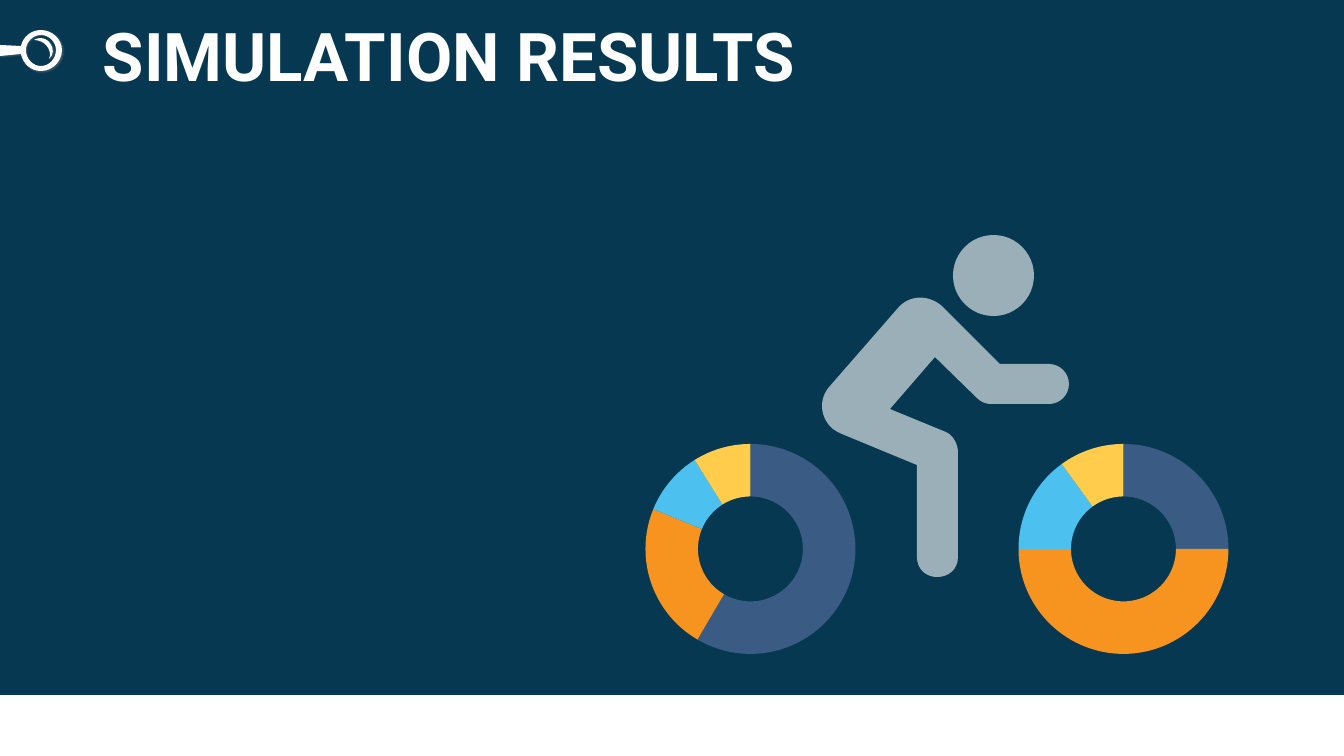
from dataclasses import dataclass

from lxml import etree
from pptx import Presentation
from pptx import util as u
from pptx.chart.data import CategoryChartData
from pptx.dml.color import RGBColor
from pptx.enum import chart, shapes, text
from pptx.oxml.ns import qn

TITLE = "SIMULATION RESULTS"
CATEGORIES = ["1", "2", "3", "4"]
WHEELS = [
    {"left": 572, "values": [59, 23, 10, 9]},
    {"left": 945, "values": [25, 50, 15, 10]},
]
WHEEL_TOP, WHEEL_W, WHEEL_H, WHEEL_D = 430, 357, 238, 210

MAGNIFIER = [
    [(40, 38), (44, 38, 48, 40, 50, 43), (54, 48, 54, 55, 49, 59),
     (51, 55, 50, 50, 47, 46), (44, 42, 39, 40, 34, 40), (36, 39, 38, 38, 40, 38)],
    [(41, 35), (33, 35, 26, 42, 26, 50), (26, 59, 33, 66, 41, 66),
     (49, 66, 56, 59, 56, 50), (56, 42, 49, 35, 41, 35)],
    [(41, 30), (52, 30, 62, 39, 62, 50), (62, 62, 52, 71, 41, 71),
     (31, 71, 23, 64, 21, 54), (0, 56), (0, 45), (21, 46), (23, 37, 31, 30, 41, 30)],
]
RIDER = [
    [(977, 398), (981, 402, 986, 404, 991, 404), (1049, 404),
     (1060, 404, 1069, 395, 1069, 384), (1069, 373, 1060, 364, 1049, 364),
     (1000, 364), (942, 306), (928, 294, 909, 295, 898, 308), (830, 386),
     (818, 399, 820, 418, 833, 429), (836, 431, 839, 433, 842, 434),
     (917, 465), (917, 557), (917, 569, 926, 577, 937, 577),
     (949, 577, 958, 569, 958, 557), (958, 452), (958, 444, 953, 435, 946, 432),
     (890, 409), (935, 357)],
]


@dataclass(frozen=True)
class Theme:
    back: str = "063951"
    white: str = "FFFFFF"
    black: str = "000000"
    shade: str = "808080"
    slices: tuple = ("3A5C84", "F7931F", "4CC1EF", "FFCC4C")
    title_font: str = "Roboto"
    chart_font: str = "Calibri"
    title_pt: int = 48
    chart_pt: int = 10


THEME = Theme()
SCALE = 914400 / 100.8


def px(n):
    return u.Emu(round(n * SCALE))


def rgb(color):
    return RGBColor.from_string(color)


def write(tf, content, *, font, size, color, bold=False, spacing=1.0):
    p = tf.paragraphs[0]
    p.alignment = text.PP_ALIGN.LEFT
    p.line_spacing = spacing
    r = p.add_run()
    r.text = content
    r.font.name, r.font.size, r.font.bold = font, u.Pt(size), bold
    r.font.color.rgb = rgb(color)


def paint(sp, color, alpha=100):
    sp.shadow.inherit = False
    sp.fill.solid()
    sp.fill.fore_color.rgb = rgb(color)
    sp.line.fill.background()
    if alpha < 100:
        clr = sp._element.spPr.find(qn("a:solidFill"))[0]
        etree.SubElement(clr, qn("a:alpha"), val=str(alpha * 1000))


def cast_shadow(sp, color, alpha):
    effects = sp._element.spPr.find(qn("a:effectLst"))
    shadow = etree.SubElement(effects, qn("a:outerShdw"), blurRad=str(u.Pt(1)),
                              dist=str(u.Pt(1)), dir=str(45 * 60000))
    clr = etree.SubElement(shadow, qn("a:srgbClr"), val=color)
    etree.SubElement(clr, qn("a:alpha"), val=str(alpha * 1000))


def outline(s, contours):
    builder = s.shapes.build_freeform(*map(px, contours[0][0]))
    for i, (start, *segments) in enumerate(contours):
        if i:
            builder.move_to(*map(px, start))
        builder.add_line_segments([tuple(map(px, seg[-2:])) for seg in segments])
    sp = builder.convert_to_shape()
    segments = [seg for contour in contours for seg in contour[1:]]
    for line, seg in zip(list(sp._element.iter(qn("a:lnTo"))), segments):
        if len(seg) == 6:
            line.tag = qn("a:cubicBezTo")
            line.clear()
            for x, y in zip(seg[::2], seg[1::2]):
                etree.SubElement(line, qn("a:pt"), x=str(px(x) - sp.left),
                                 y=str(px(y) - sp.top))
    return sp


def add_wheel(s, left, values):
    data = CategoryChartData()
    data.categories = CATEGORIES
    data.add_series("Series 1", values)
    ch = s.shapes.add_chart(chart.XL_CHART_TYPE.DOUGHNUT, px(left), px(WHEEL_TOP),
                            px(WHEEL_W), px(WHEEL_H), data).chart
    ch.has_legend = ch.has_title = False
    ch.font.name, ch.font.size = THEME.chart_font, u.Pt(THEME.chart_pt)
    ch.font.color.rgb = rgb(THEME.black)
    plot = ch.plots[0]
    plot.vary_by_categories = True
    for i, color in enumerate(THEME.slices):
        fmt = plot.series[0].points[i].format
        fmt.fill.solid()
        fmt.fill.fore_color.rgb = rgb(color)
        fmt.line.fill.background()
    area = ch._chartSpace.find(".//" + qn("c:plotArea"))
    for old in area.findall(qn("c:layout")):
        area.remove(old)
    layout = etree.Element(qn("c:layout"))
    area.insert(0, layout)
    manual = etree.SubElement(layout, qn("c:manualLayout"))
    w, h = WHEEL_D / WHEEL_W, WHEEL_D / WHEEL_H
    for tag, val in [("layoutTarget", "inner"), ("xMode", "edge"), ("yMode", "edge"),
                     ("x", (1 - w) / 2), ("y", (1 - h) / 2), ("w", w), ("h", h)]:
        etree.SubElement(manual, qn("c:" + tag), val=str(val))
    area.find(".//" + qn("c:holeSize")).set("val", "75")


def main():
    prs = Presentation()
    prs.slide_width, prs.slide_height = px(1344), px(756)
    s = prs.slides.add_slide(prs.slide_layouts[5])
    s.background.fill.solid()
    s.background.fill.fore_color.rgb = rgb(THEME.back)

    footer = s.shapes.add_shape(shapes.MSO_SHAPE.RECTANGLE, 0, px(695), px(1344), px(61))
    paint(footer, THEME.white)
    magnifier = outline(s, MAGNIFIER)
    paint(magnifier, THEME.white)
    cast_shadow(magnifier, THEME.shade, 40)

    title = s.shapes.title
    title.left, title.top, title.width, title.height = map(px, (93, 19, 1159, 82))
    tf = title.text_frame
    tf.word_wrap, tf.auto_size = True, text.MSO_AUTO_SIZE.NONE
    tf.vertical_anchor = text.MSO_ANCHOR.MIDDLE
    tf.margin_left, tf.margin_right = px(10), 0
    tf.margin_top = tf.margin_bottom = px(5)
    write(tf, TITLE, font=THEME.title_font, size=THEME.title_pt, color=THEME.white,
          bold=True, spacing=0.9)

    head = s.shapes.add_shape(shapes.MSO_SHAPE.OVAL, px(953), px(235), px(81), px(81))
    body = outline(s, RIDER)
    for part in (head, body):
        paint(part, THEME.white, alpha=60)
    s.shapes.add_group_shape([head, body])
    for wheel in WHEELS:
        add_wheel(s, **wheel)
    prs.save("out.pptx")


if __name__ == "__main__":
    main()
